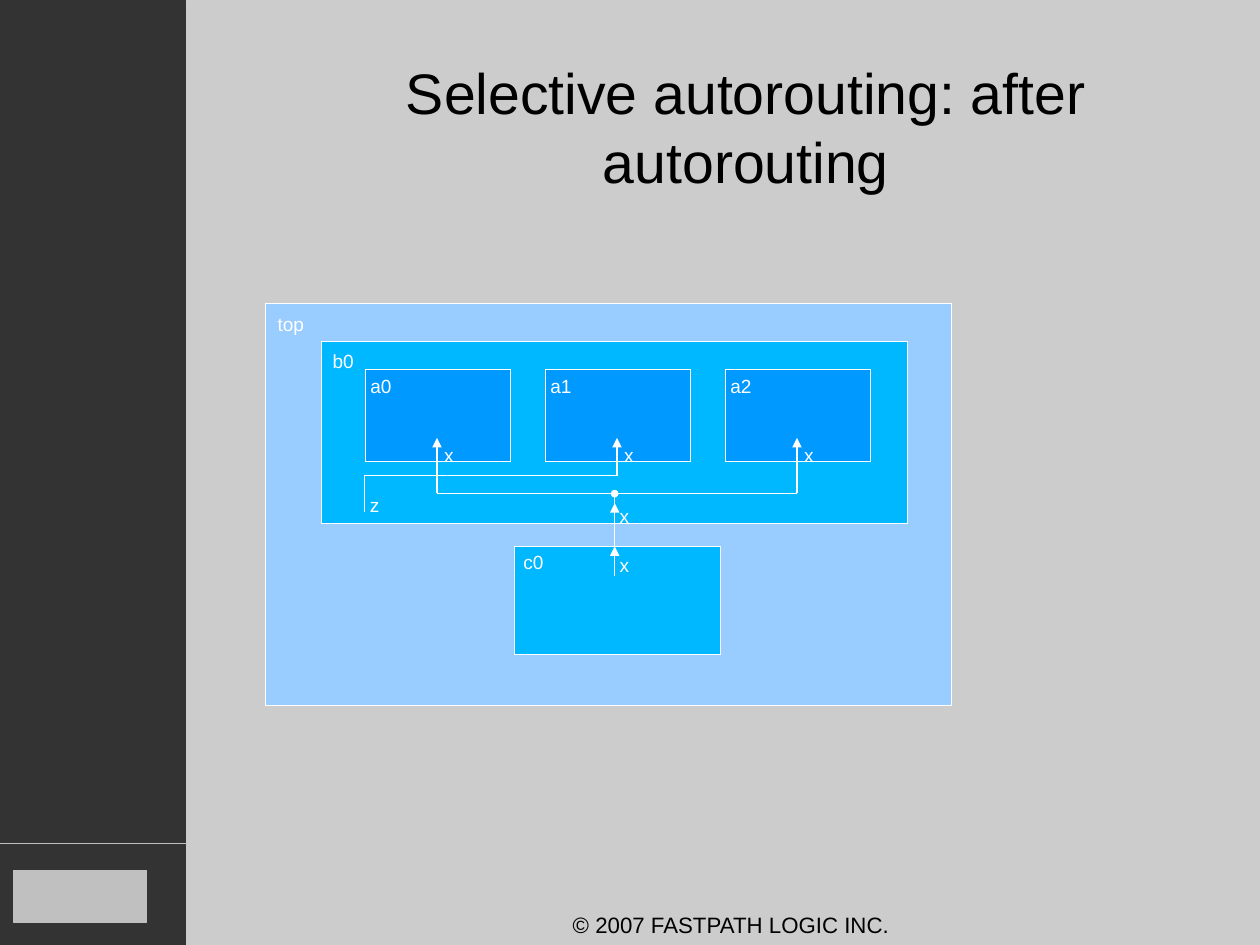
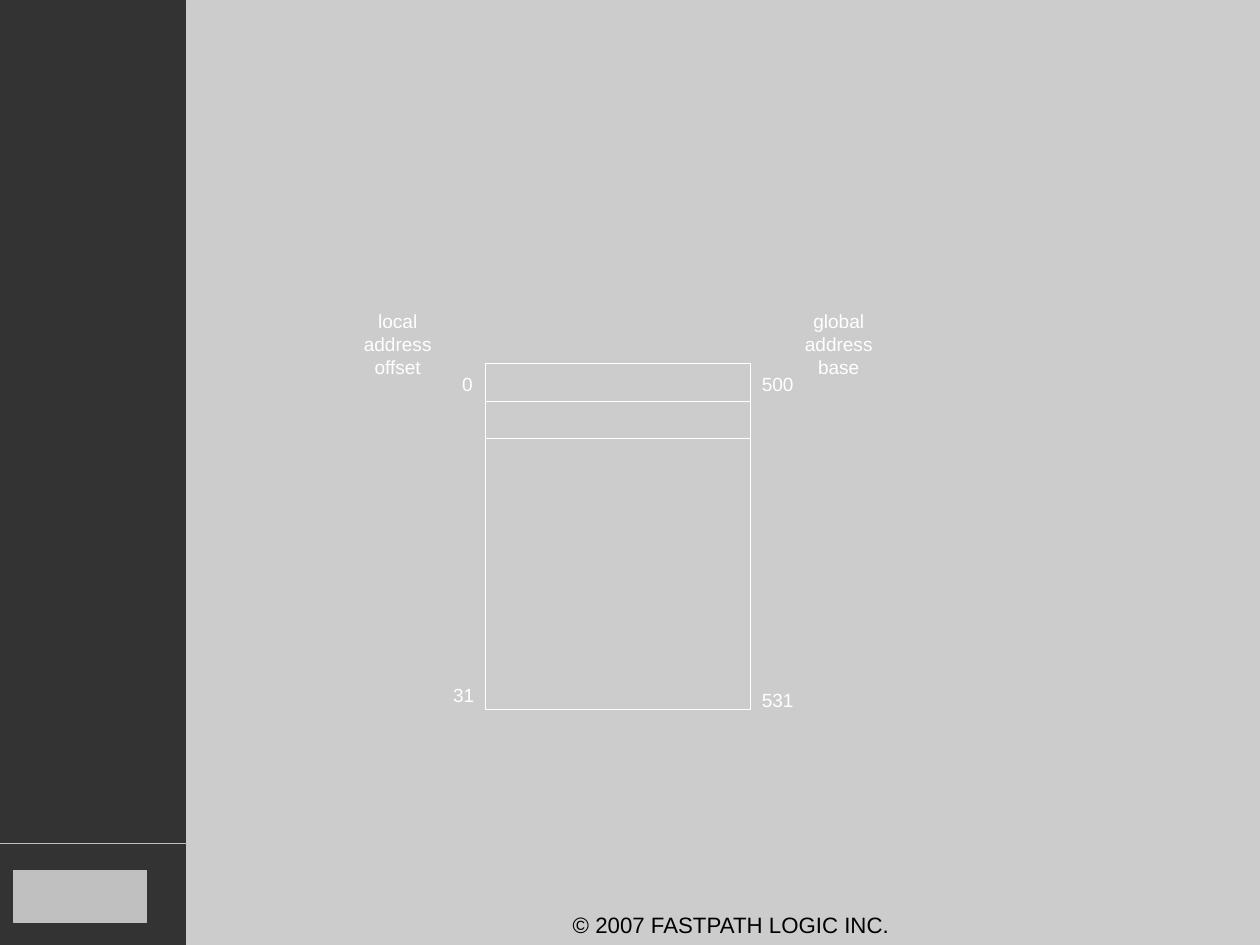
import lxml.etree
import pptx
import pptx.dml.color
import pptx.enum.shapes
import pptx.enum.text
import pptx.oxml.ns
import pptx.util

Cm = pptx.util.Cm
Pt = pptx.util.Pt
qn = pptx.oxml.ns.qn
Shape = pptx.enum.shapes.MSO_SHAPE
Align = pptx.enum.text.PP_ALIGN
Anchor = pptx.enum.text.MSO_ANCHOR

WIDE, HIGH = 28, 21
FONT = "Arial"
HAIR, THIN = 0.25, 0.71
HEX = {
    "back": "CCCCCC", "bar": "333333", "mark": "C0C0C0",
    "ink": "000000", "white": "FFFFFF",
    "pale": "99CCFF", "cyan": "00B8FF", "blue": "0099FF",
}


def rgb(name):
    return pptx.dml.color.RGBColor.from_string(HEX[name])


class Deck:
    def __init__(self):
        self.file = pptx.Presentation()
        self.file.slide_width = Cm(WIDE)
        self.file.slide_height = Cm(HIGH)
        self.slide = None

    def page(self):
        self.slide = self.file.slides.add_slide(self.file.slide_layouts[6])
        fill = self.slide.background.fill
        fill.solid()
        fill.fore_color.rgb = rgb("back")
        self.box(0, 0, 4.12, HIGH, "bar", "bar")
        self.box(0.3, 19.34, 2.96, 1.16, "mark", "mark")
        self.line(0, 18.74, 4.16, 18.74, HAIR, "mark")
        self.text("© 2007 FASTPATH LOGIC INC.", 9.68, 20.12, 13.13, 0.86,
                  14, "ink", Align.CENTER)

    def title(self, words):
        frame = self.text(words, 7.24, 0.97, 18.67, 3.66, 36, "ink", Align.CENTER)
        frame.vertical_anchor = Anchor.MIDDLE
        frame.margin_left = frame.margin_right = 0
        frame.margin_top = frame.margin_bottom = 0

    def box(self, x, y, w, h, fill=None, edge="white", kind=Shape.RECTANGLE):
        shape = self.slide.shapes.add_shape(kind, Cm(x), Cm(y), Cm(w), Cm(h))
        shape.shadow.inherit = False
        if fill:
            shape.fill.solid()
            shape.fill.fore_color.rgb = rgb(fill)
        else:
            shape.fill.background()
        shape.line.color.rgb = rgb(edge)
        shape.line.width = Pt(HAIR)

    def text(self, words, x, y, w=1.4, h=0.89, size=12, ink="white",
             align=Align.LEFT):
        frame = self.slide.shapes.add_textbox(Cm(x), Cm(y), Cm(w), Cm(h)).text_frame
        frame.word_wrap = True
        frame.text = words
        for para in frame.paragraphs:
            para.alignment = align
            for run in para.runs:
                run.font.name = FONT
                run.font.size = Pt(size)
                run.font.color.rgb = rgb(ink)
        return frame

    def line(self, x1, y1, x2, y2, width=THIN, ink="white", arrow=False):
        link = self.slide.shapes.add_connector(
            pptx.enum.shapes.MSO_CONNECTOR.STRAIGHT, Cm(x1), Cm(y1), Cm(x2), Cm(y2))
        link.line.color.rgb = rgb(ink)
        link.line.width = Pt(width)
        props = link._element.spPr
        if arrow:
            lxml.etree.SubElement(props.find(qn("a:ln")), qn("a:tailEnd"), type="triangle")
        lxml.etree.SubElement(props, qn("a:effectLst"))


def routes(deck):
    deck.page()
    deck.title("Selective autorouting: after autorouting")
    deck.box(5.9, 6.74, 15.24, 8.94, "pale")
    deck.box(7.14, 7.59, 13.02, 4.04, "cyan")
    deck.box(11.43, 12.14, 4.57, 2.41, "cyan")
    for words, x, y in [("top", 5.92, 6.83), ("b0", 7.14, 7.65),
                        ("c0", 11.38, 12.11), ("z", 7.97, 10.85),
                        ("x", 13.52, 12.18), ("x", 13.52, 11.08)]:
        deck.text(words, x, y)

    upper, lower, step = 10.57, 10.96, 4
    for i, foot in enumerate([lower, upper, lower]):
        shift = i * step
        deck.box(8.12 + shift, 8.21, 3.23, 2.04, "blue")
        deck.text(f"a{i}", 7.98 + shift, 8.2)
        deck.text("x", 9.62 + shift, 9.73)
        deck.line(9.71 + shift, foot, 9.71 + shift, 9.73, arrow=True)
    deck.line(8.1, upper, 9.71 + step, upper)
    deck.line(8.1, upper, 8.1, 11.38)
    deck.line(9.71, lower, 9.71 + 2 * step, lower)

    stem = 13.66
    deck.line(stem, 12.8, stem, 12.14, arrow=True)
    deck.line(stem, 12.22, stem, 11.18, arrow=True)
    deck.line(stem, 11.25, stem, lower)
    deck.box(stem - 0.08, lower - 0.07, 0.16, 0.16, "white", kind=Shape.OVAL)


def memory(deck):
    deck.page()
    left, top, wide = 10.78, 8.08, 5.89
    deck.box(left, top, wide, 7.69)
    for y in (8.92, 9.73):
        deck.line(left, y, left + wide, y, HAIR)
    for words, x, y in [("0", 10.02, 8.16), ("31", 9.82, 15.06),
                        ("500", 16.68, 8.16), ("531", 16.68, 15.17)]:
        deck.text(words, x, y)
    for words, x in [("local\naddress\noffset", 7.74), ("global\naddress\nbase", 17.54)]:
        deck.text(words, x, 6.76, 2.2, 2.13, align=Align.CENTER)


def main():
    deck = Deck()
    routes(deck)
    memory(deck)
    deck.file.save("out.pptx")


if __name__ == "__main__":
    main()
